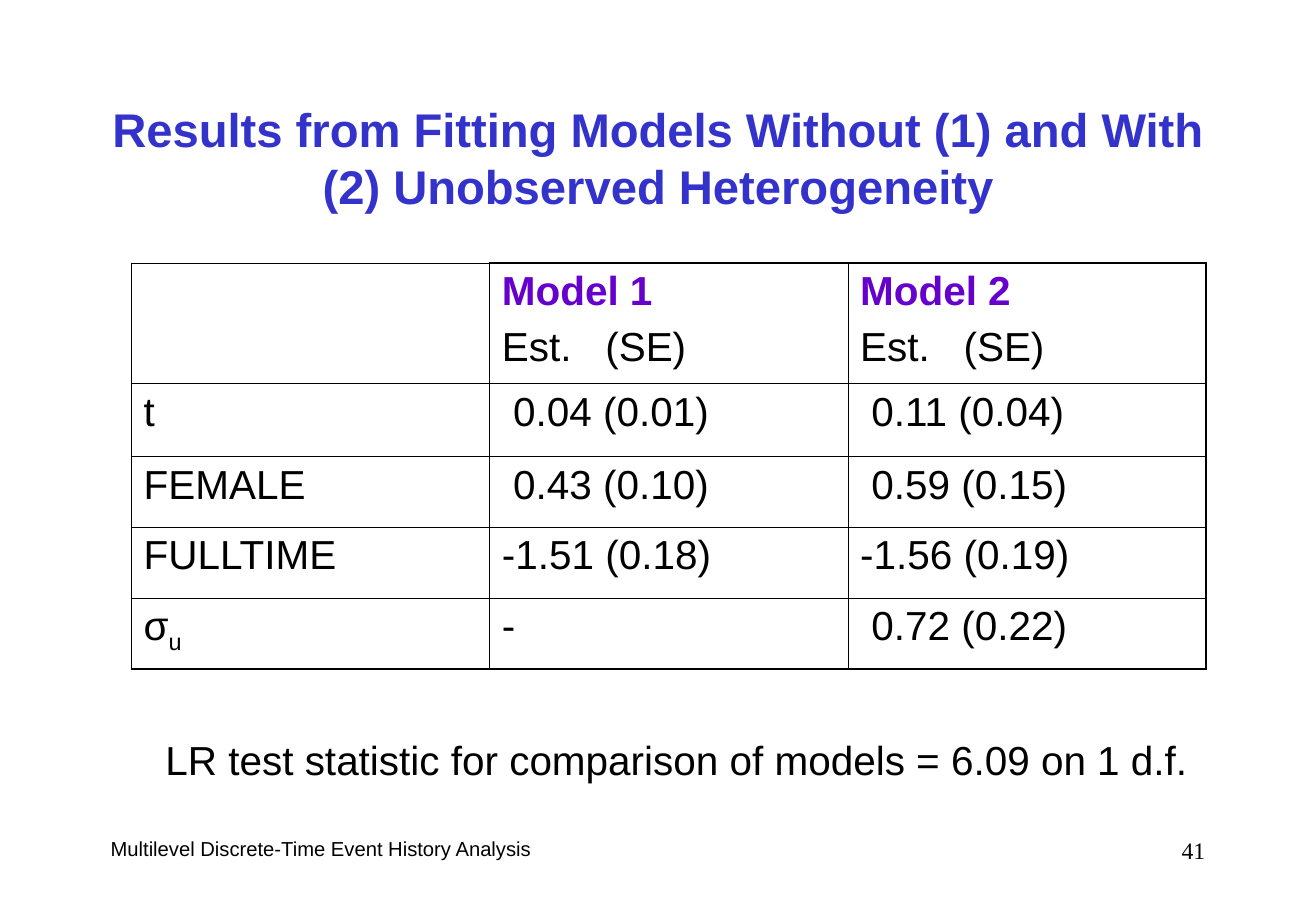
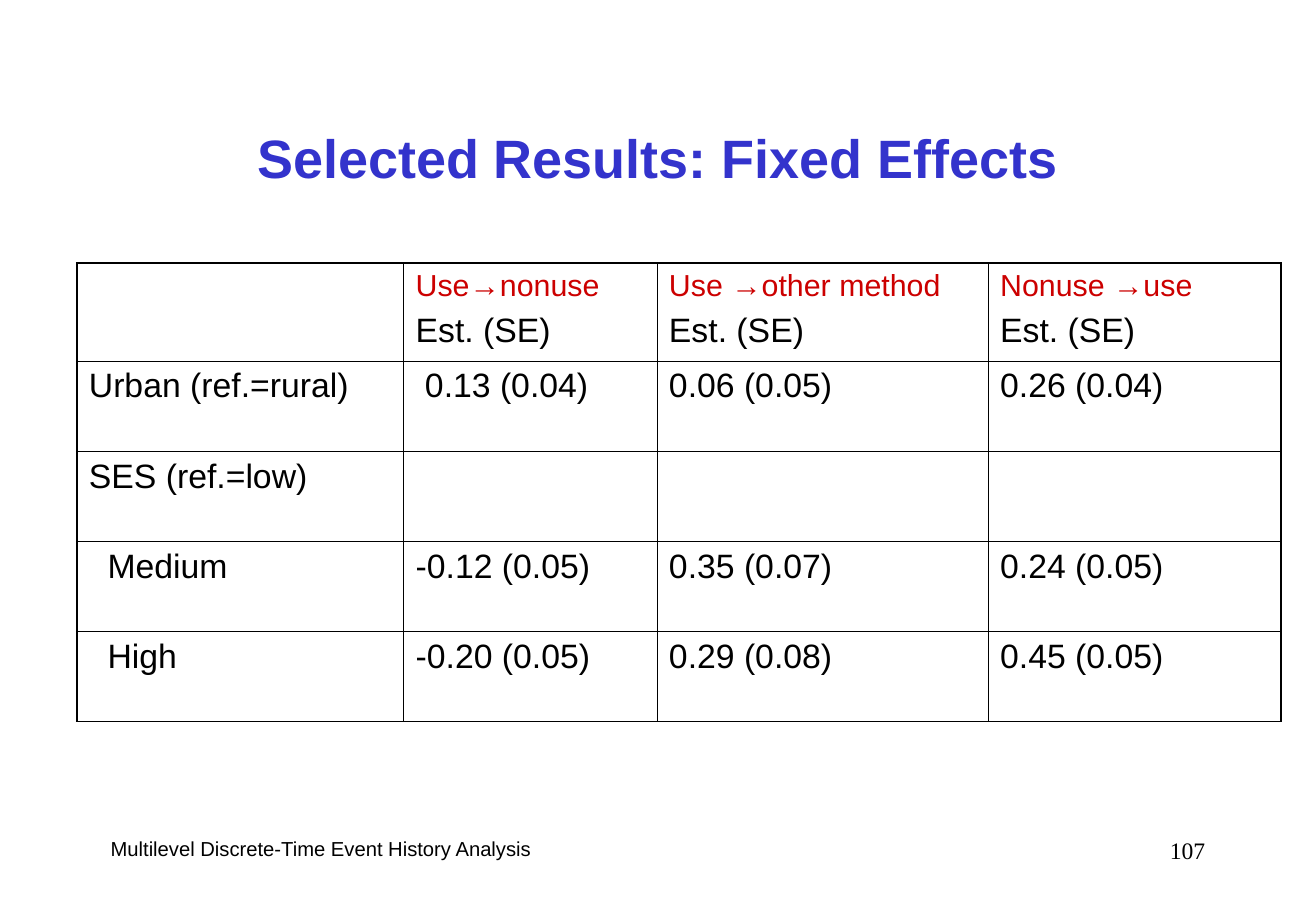
"""Two results slides: heterogeneity models and fixed effects."""
from dataclasses import dataclass
from typing import NamedTuple

from lxml import etree
from pptx import Presentation
from pptx import util as u
from pptx import slide as sl
from pptx import table as tb
from pptx.dml import color
from pptx.enum import text
from pptx.oxml import ns
from pptx.text import text as tx


@dataclass(frozen=True)
class Theme:
    """Colours, fonts, type sizes and line widths."""
    ink: str = "000000"
    heading: str = "3333CC"
    model: str = "6600CC"
    transition: str = "CC0000"
    sans: str = "Arial"
    serif: str = "Times New Roman"
    title_size: float = 32
    long_title_size: float = 28
    body_size: float = 24
    compact_size: float = 20
    label_size: float = 18
    number_size: float = 14
    footer_size: float = 12
    frame_line: float = 1.08
    inner_line: float = 0.45


THEME = Theme()
WIDTH, HEIGHT = u.Inches(10.84), u.Inches(7.5)
COLUMNS, ROWS = 120, 90


class Area(NamedTuple):
    """A place on the grid, in columns and rows."""
    left: float
    top: float
    width: float
    height: float


class Line(NamedTuple):
    """One paragraph; indent and tab are in grid columns."""
    words: str
    size: float
    color: str = THEME.ink
    bold: bool = False
    font: str = THEME.sans
    align: text.PP_ALIGN = text.PP_ALIGN.LEFT
    indent: float = 0
    tab: float = 0
    subscript: str = ""
    before: float = 0


class ResultsTable(NamedTuple):
    """Table contents with its grid measures."""
    left: float
    top: float
    widths: list[float]
    heights: list[float]
    cells: list[list[list[Line]]]
    thin_corner: bool = False


TITLE = Area(9, 8, 102, 15)
FOOTER = Area(9, 82, 70, 6)
NUMBER = Area(86, 82, 25, 6)
CAPTION = Area(14, 72, 97, 6)


def across(columns: float) -> u.Emu:
    """Turn grid columns into a length."""
    return u.Emu(round(WIDTH * columns / COLUMNS))


def down(rows: float) -> u.Emu:
    """Turn grid rows into a length."""
    return u.Emu(round(HEIGHT * rows / ROWS))


def write(frame: tx.TextFrame, lines: list[Line]) -> None:
    """Fill a text frame with lines."""
    for index, line in enumerate(lines):
        paragraph = frame.add_paragraph() if index else frame.paragraphs[0]
        paragraph.alignment = line.align
        if index:
            paragraph.space_before = u.Pt(line.before)
        properties = paragraph._p.get_or_add_pPr()
        if line.indent:
            properties.set("marL", str(across(line.indent)))
            properties.set("indent", "0")
        if line.tab:
            stops = etree.SubElement(properties, ns.qn("a:tabLst"))
            etree.SubElement(stops, ns.qn("a:tab"), pos=str(across(line.tab)), algn="l")
        font = paragraph.font
        font.name, font.size, font.bold = line.font, u.Pt(line.size), line.bold
        font.color.rgb = color.RGBColor.from_string(line.color)
        paragraph.add_run().text = line.words
        if line.subscript:
            suffix = paragraph.add_run()
            suffix.text = line.subscript
            suffix._r.get_or_add_rPr().set("baseline", "-25000")


def add_words(slide: sl.Slide, area: Area, line: Line,
              anchor: text.MSO_ANCHOR = text.MSO_ANCHOR.TOP) -> None:
    """Place one line of text on the grid."""
    frame = slide.shapes.add_textbox(across(area.left), down(area.top),
                                     across(area.width), down(area.height)).text_frame
    frame.word_wrap = True
    frame.vertical_anchor = anchor
    write(frame, [line])


def rule_cell(cell: tb._Cell, framed: dict[str, bool]) -> None:
    """Draw the four sides of a cell, heavier on the frame, without fill."""
    properties = cell._tc.get_or_add_tcPr()
    for side, on_frame in framed.items():
        width = THEME.frame_line if on_frame else THEME.inner_line
        edge = etree.SubElement(properties, ns.qn(f"a:ln{side}"), w=str(u.Pt(width)))
        fill = etree.SubElement(edge, ns.qn("a:solidFill"))
        etree.SubElement(fill, ns.qn("a:srgbClr"), val=THEME.ink)
    cell.fill.background()


def add_results(slide: sl.Slide, results: ResultsTable) -> None:
    """Draw a results table."""
    last_row, last_column = len(results.heights) - 1, len(results.widths) - 1
    table = slide.shapes.add_table(
        last_row + 1, last_column + 1, across(results.left), down(results.top),
        across(sum(results.widths)), down(sum(results.heights))).table
    table.first_row = table.horz_banding = False
    for column, width in zip(table.columns, results.widths):
        column.width = across(width)
    for row, height in zip(table.rows, results.heights):
        row.height = down(height)
    for r, row_cells in enumerate(results.cells):
        for c, lines in enumerate(row_cells):
            cell = table.cell(r, c)
            top_framed = r == 0 and not (results.thin_corner and c == 0)
            rule_cell(cell, {"L": c == 0, "R": c == last_column,
                             "T": top_framed, "B": r == last_row})
            write(cell.text_frame, lines)


def add_slide(deck: Presentation, title: str, title_size: float, number: int) -> sl.Slide:
    """Start a slide with the shared footer, number and title."""
    slide = deck.slides.add_slide(deck.slide_layouts[6])
    add_words(slide, FOOTER, Line("Multilevel Discrete-Time Event History Analysis",
                                  THEME.footer_size))
    add_words(slide, NUMBER, Line(str(number), THEME.number_size, font=THEME.serif,
                                  align=text.PP_ALIGN.RIGHT))
    add_words(slide, TITLE, Line(title, title_size, THEME.heading, True,
                                 align=text.PP_ALIGN.CENTER), text.MSO_ANCHOR.MIDDLE)
    return slide


def body(words: str, indent: float = 0, subscript: str = "") -> list[Line]:
    """Make a cell of the model table."""
    return [Line(words, THEME.body_size, indent=indent, subscript=subscript)]


def compact(words: str, indent: float = 0) -> list[Line]:
    """Make a cell of the fixed effects table."""
    return [Line(words, THEME.compact_size, indent=indent)]


def model_table() -> ResultsTable:
    """Describe the comparison of the two models."""
    heads = [[Line(name, THEME.body_size, THEME.model, True),
              Line("Est.\t(SE)", THEME.body_size, tab=9.43, before=6)]
             for name in ("Model 1", "Model 2")]
    sign = 1.03
    return ResultsTable(12, 26, [98 / 3] * 3, [11.9, 7.2, 7, 7, 7], [
        [[], *heads],
        [body("t"), body("0.04 (0.01)", sign), body("0.11 (0.04)", sign)],
        [body("FEMALE"), body("0.43 (0.10)", sign), body("0.59 (0.15)", sign)],
        [body("FULLTIME"), body("-1.51 (0.18)"), body("-1.56 (0.19)")],
        [body("σ", subscript="u"), body("-"), body("0.72 (0.22)", sign)],
    ], thin_corner=True)


def effects_table() -> ResultsTable:
    """Describe the fixed effects by transition."""
    heads = [[Line(name, THEME.label_size, THEME.transition),
              Line("Est. (SE)", THEME.compact_size, before=5)]
             for name in ("Use→nonuse", "Use →other method", "Nonuse →use")]
    sign, level = 0.85, 1.7
    return ResultsTable(7, 26, [29.8, 23.1, 30.2, 26.7], [9.7] + [8.9] * 4, [
        [[], *heads],
        [compact("Urban (ref.=rural)"), compact("0.13 (0.04)", sign),
         compact("0.06 (0.05)"), compact("0.26 (0.04)")],
        [compact("SES (ref.=low)"), [], [], []],
        [compact("Medium", level), compact("-0.12 (0.05)"),
         compact("0.35 (0.07)"), compact("0.24 (0.05)")],
        [compact("High", level), compact("-0.20 (0.05)"),
         compact("0.29 (0.08)"), compact("0.45 (0.05)")],
    ])


def main() -> None:
    """Build and save the deck."""
    deck = Presentation()
    deck.slide_width, deck.slide_height = WIDTH, HEIGHT
    models = add_slide(deck, "Results from Fitting Models Without (1) and With "
                       "(2) Unobserved Heterogeneity", THEME.long_title_size, 41)
    add_results(models, model_table())
    add_words(models, CAPTION, Line(
        "LR test statistic for comparison of models = 6.09 on 1 d.f.", THEME.body_size))
    effects = add_slide(deck, "Selected Results: Fixed Effects", THEME.title_size, 107)
    add_results(effects, effects_table())
    deck.save("out.pptx")


if __name__ == "__main__":
    main()
